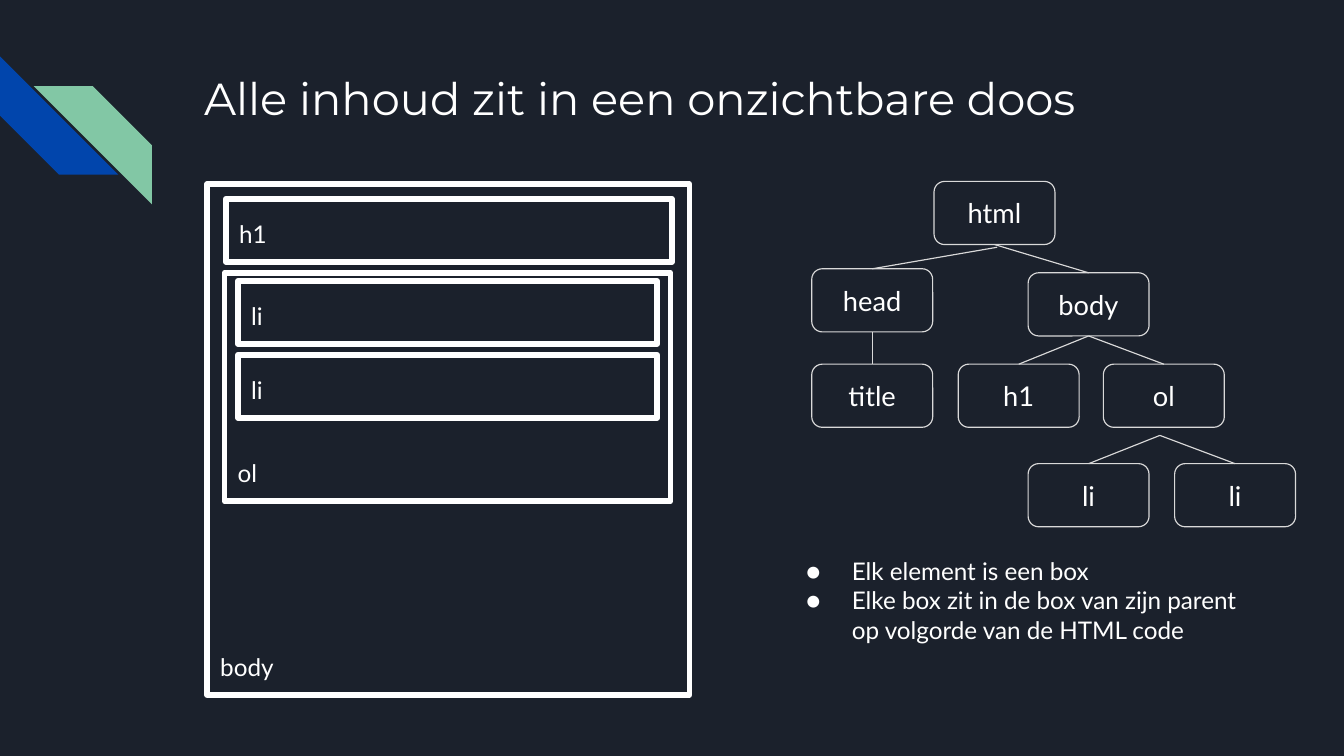
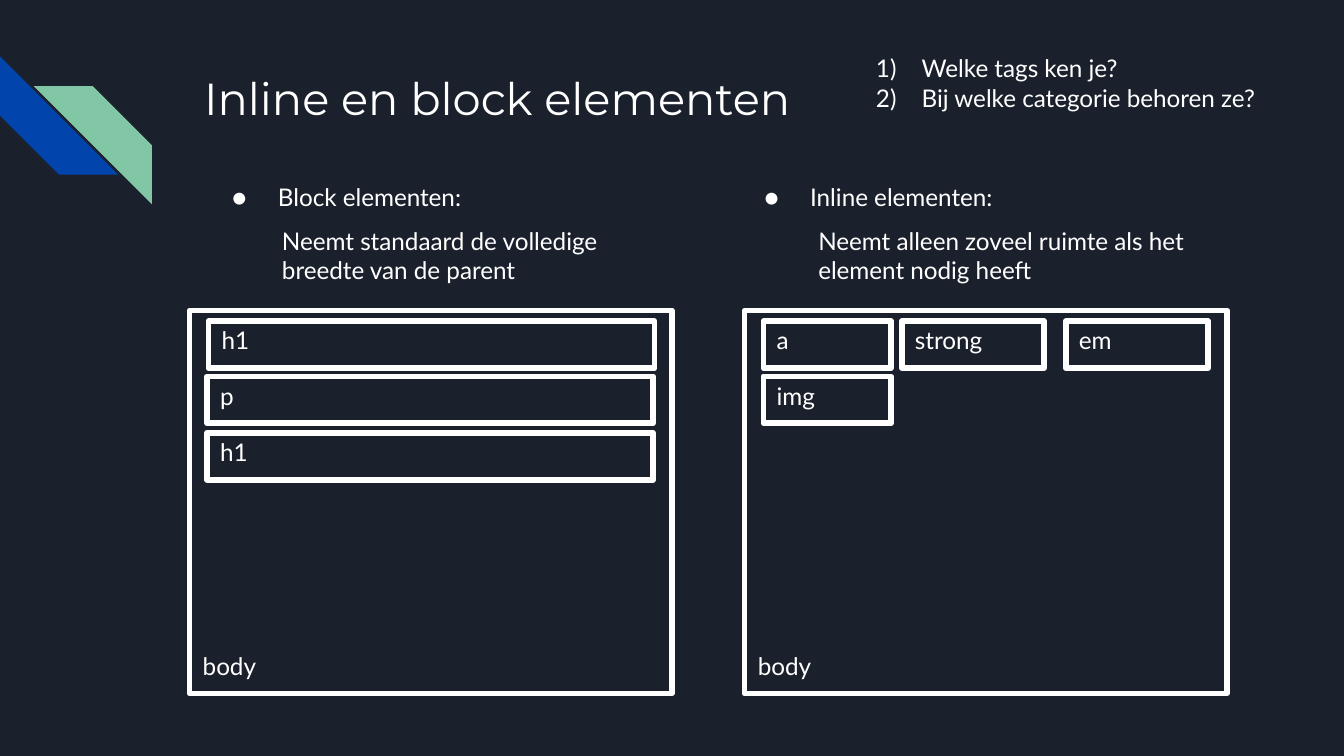
import dataclasses

import lxml.etree
import pptx
import pptx.dml.color
import pptx.enum.shapes
import pptx.enum.text
import pptx.oxml.ns
import pptx.util

Inches = pptx.util.Inches
Pt = pptx.util.Pt
RGB = pptx.dml.color.RGBColor
SHAPE = pptx.enum.shapes.MSO_SHAPE
ANCHOR = pptx.enum.text.MSO_ANCHOR
ALIGN = pptx.enum.text.PP_ALIGN
qn = pptx.oxml.ns.qn


@dataclasses.dataclass(frozen=True)
class Theme:
    night: RGB = RGB.from_string("1B212C")
    white: RGB = RGB.from_string("FFFFFF")
    blue: RGB = RGB.from_string("0145AC")
    green: RGB = RGB.from_string("82C7A5")
    branch: RGB = RGB.from_string("D9D9D9")
    heading_font: str = "Montserrat"
    body_font: str = "Lato"
    heading_size: float = 24
    body_size: float = 13
    node_size: float = 14.6
    box_line: float = 3
    branch_line: float = 0.61


theme = Theme()
BODY_TYPE = {"name": theme.body_font, "size": Pt(theme.body_size)}
NODE_TYPE = {"name": theme.body_font, "size": Pt(theme.node_size)}
HEADING_TYPE = {"name": theme.heading_font, "size": Pt(theme.heading_size)}
BULLET = ("buChar", {"char": "●"})
NUMBER = ("buAutoNum", {"type": "arabicParenR"})


def write(shape, lines, type_style=BODY_TYPE, marker=None, inset=0.1,
          anchor=ANCHOR.TOP, align=ALIGN.LEFT):
    """Fill a shape with one paragraph per line, with an optional list marker."""
    frame = shape.text_frame
    sides = ("margin_left", "margin_top", "margin_right", "margin_bottom")
    frame_format = dict.fromkeys(sides, Inches(inset))
    frame_format |= {"word_wrap": True, "vertical_anchor": anchor}
    for name, value in frame_format.items():
        setattr(frame, name, value)
    for index, line in enumerate(lines):
        paragraph = frame.add_paragraph() if index else frame.paragraphs[0]
        paragraph.alignment = align
        if marker:
            tag, attributes = marker
            properties = paragraph._p.get_or_add_pPr()
            properties.set("marL", str(Inches(0.5)))
            properties.set("indent", str(Inches(-0.34)))
            marker_color = lxml.etree.SubElement(properties, qn("a:buClr"))
            lxml.etree.SubElement(marker_color, qn("a:srgbClr"), val=str(theme.white))
            lxml.etree.SubElement(properties, qn("a:buFont"), typeface=theme.body_font)
            lxml.etree.SubElement(properties, qn("a:" + tag), attributes)
        run = paragraph.add_run()
        run.text = line
        for name, value in type_style.items():
            setattr(run.font, name, value)
        run.font.color.rgb = theme.white


def add_element_box(slide, label, left, top, width, height):
    box = slide.shapes.add_shape(
        SHAPE.RECTANGLE, Inches(left), Inches(top), Inches(width), Inches(height))
    box.shadow.inherit = False
    box.fill.background()
    box.line.color.rgb = theme.white
    box.line.width = Pt(theme.box_line)
    write(box, [label], anchor=ANCHOR.BOTTOM)


deck = pptx.Presentation()
deck.slide_width = Inches(10)
deck.slide_height = deck.slide_width * 9 // 16
deck.slide_master.background.fill.solid()
deck.slide_master.background.fill.fore_color.rgb = theme.night

# Shared stripes and titles
slides = []
for title in ("Alle inhoud zit in een onzichtbare doos", "Inline en block elementen"):
    slide = deck.slides.add_slide(deck.slide_layouts[6])
    slides.append(slide)
    for left, top, turn, color in ((0, 0.42, 270, theme.blue), (0.25, 0.64, 90, theme.green)):
        stripe = slide.shapes.add_shape(
            SHAPE.DIAGONAL_STRIPE, Inches(left), Inches(top), Inches(0.88), Inches(0.88))
        stripe.shadow.inherit = False
        stripe.rotation = turn
        stripe.fill.solid()
        stripe.fill.fore_color.rgb = color
        stripe.line.fill.background()
    heading = slide.shapes.add_textbox(Inches(1.42), Inches(0.43), Inches(7.7), Inches(1))
    write(heading, [title], HEADING_TYPE)
nesting, categories = slides

# Slide 1: nested boxes
for label, *place in (
    ("body", 1.54, 1.37, 3.59, 3.8),
    ("h1", 1.68, 1.48, 3.32, 0.47),
    ("ol", 1.67, 2.03, 3.32, 1.7),
    ("li", 1.77, 2.09, 3.12, 0.47),
    ("li", 1.77, 2.64, 3.12, 0.47),
):
    add_element_box(nesting, label, *place)

# Slide 1: document tree
nodes = {}
for key, label, left, top in (
    ("html", "html", 6.95, 1.35),
    ("head", "head", 6.04, 2),
    ("body", "body", 7.65, 2.03),
    ("title", "title", 6.04, 2.71),
    ("h1", "h1", 7.13, 2.71),
    ("ol", "ol", 8.21, 2.71),
    ("first li", "li", 7.65, 3.45),
    ("second li", "li", 8.74, 3.45),
):
    node = nesting.shapes.add_shape(
        SHAPE.ROUNDED_RECTANGLE, Inches(left), Inches(top), Inches(0.9), Inches(0.47))
    node.shadow.inherit = False
    node.fill.solid()
    node.fill.fore_color.rgb = theme.night
    node.line.color.rgb = theme.branch
    node.line.width = Pt(theme.branch_line)
    write(node, [label], NODE_TYPE, inset=0.08, anchor=ANCHOR.MIDDLE, align=ALIGN.CENTER)
    nodes[key] = node

# A branch starts at a parent node or at a free point
for start, child in (
    ((7.42, 1.84), "head"),
    ("html", "body"),
    ("body", "h1"),
    ("body", "ol"),
    ("head", "title"),
    ((8.63, 3.24), "first li"),
    ((8.63, 3.24), "second li"),
):
    joined = start in nodes
    x, y = (0, 0) if joined else start
    branch = nesting.shapes.add_connector(
        pptx.enum.shapes.MSO_CONNECTOR.STRAIGHT, Inches(x), Inches(y), Inches(x), Inches(y))
    if joined:
        branch.begin_connect(nodes[start], 2)
    branch.end_connect(nodes[child], 0)
    branch.line.color.rgb = theme.branch
    branch.line.width = Pt(theme.branch_line)
    lxml.etree.SubElement(branch._element.spPr, qn("a:effectLst"))

# Slide 2: one column per category
row_tops = (2.39, 2.8, 3.22)
columns = (
    (1.41, (("h1", 1.55, 0, 3.32), ("p", 1.54, 1, 3.32), ("h1", 1.54, 2, 3.32))),
    (5.54, (("a", 5.68, 0, 0.95), ("strong", 6.71, 0, 1.06),
            ("em", 7.93, 0, 1.06), ("img", 5.68, 1, 0.95))),
)
for body_left, elements in columns:
    add_element_box(categories, "body", body_left, 2.31, 3.59, 2.85)
    for label, left, row, width in elements:
        add_element_box(categories, label, left, row_tops[row], width, 0.35)

# Running text of both slides
for slide, left, top, width, height, marker, lines in (
    (nesting, 5.74, 4.04, 3.68, 0.85, BULLET,
     ["Elk element is een box",
      "Elke box zit in de box van zijn parent op volgorde van de HTML code"]),
    (categories, 1.47, 1.26, 3.66, 0.56, BULLET, ["Block elementen:"]),
    (categories, 5.43, 1.26, 3.66, 0.56, BULLET, ["Inline elementen:"]),
    (categories, 2, 1.58, 2.96, 0.62, None,
     ["Neemt standaard de volledige breedte van de parent"]),
    (categories, 5.99, 1.58, 2.96, 0.62, None,
     ["Neemt alleen zoveel ruimte als het element nodig heeft"]),
    (categories, 6.26, 0.3, 3.66, 0.56, NUMBER,
     ["Welke tags ken je?", "Bij welke categorie behoren ze?"]),
):
    passage = slide.shapes.add_textbox(Inches(left), Inches(top), Inches(width), Inches(height))
    write(passage, lines, marker=marker)

deck.save("out.pptx")
